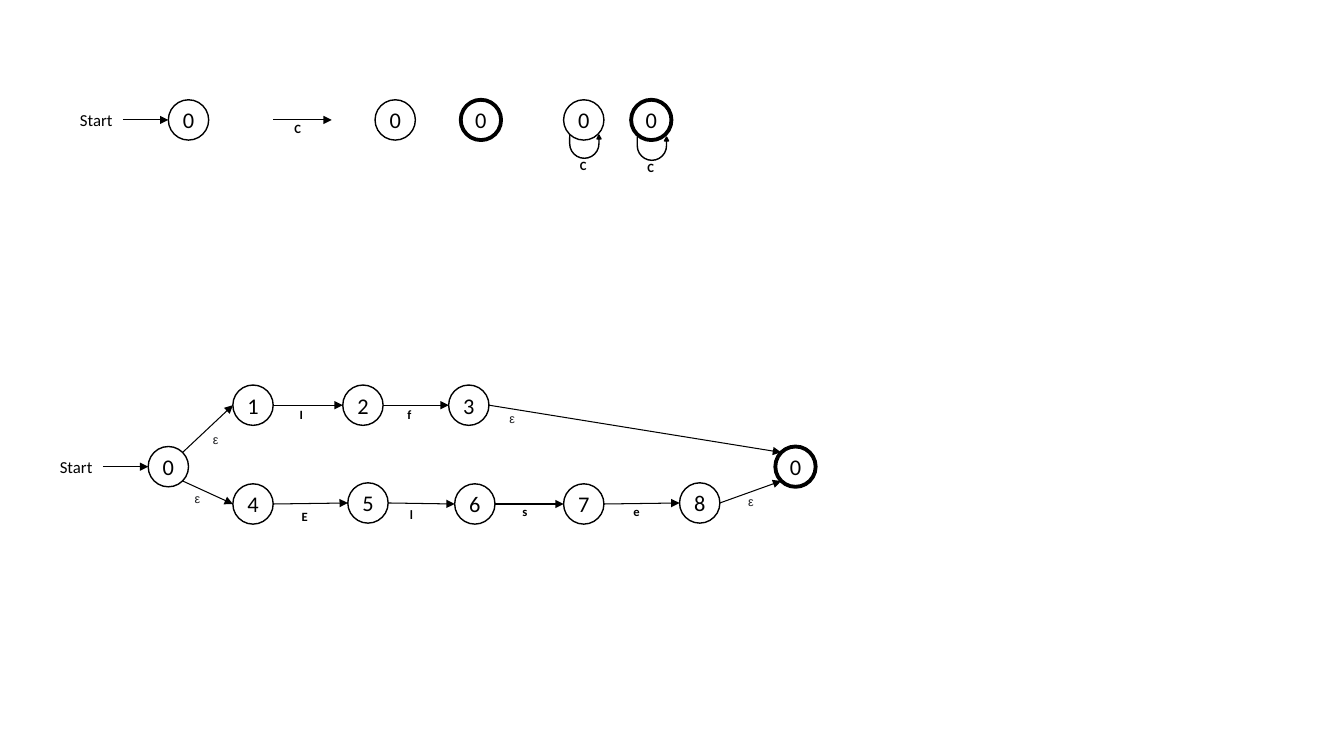
from lxml import etree
from pptx import Presentation
from pptx.dml.color import RGBColor
from pptx.enum.shapes import MSO_CONNECTOR, MSO_SHAPE
from pptx.enum.text import MSO_ANCHOR, PP_ALIGN
from pptx.oxml.ns import qn
from pptx.util import Inches, Pt

CIRCLE = MSO_SHAPE.OVAL
LOOP = MSO_SHAPE.U_TURN_ARROW
STRAIGHT = MSO_CONNECTOR.STRAIGHT
MIDDLE = MSO_ANCHOR.MIDDLE
CENTER = PP_ALIGN.CENTER
CELL = 0.1
RADIUS = 2
DIAGONAL = RADIUS * 0.71
EPSILON = "ε"
SIDES = {
    "left": (-RADIUS, 0),
    "right": (RADIUS, 0),
    "upper left": (-DIAGONAL, -DIAGONAL),
    "lower left": (-DIAGONAL, DIAGONAL),
    "upper right": (DIAGONAL, -DIAGONAL),
    "lower right": (DIAGONAL, DIAGONAL),
}


def cells(count):
    return Inches(count * CELL)


def color(value):
    return RGBColor.from_string(value)


class Diagram:
    ink = "000000"
    soft_ink = "202124"
    font = "Calibri"
    epsilon_font = "Arial"

    def __init__(self, page):
        self.page = page

    def set_text(self, frame, text, size, bold=False):
        frame.text = text
        frame.word_wrap = False
        para = frame.paragraphs[0]
        para.alignment = CENTER
        font = para.runs[0].font
        is_epsilon = text == EPSILON
        font.name = self.epsilon_font if is_epsilon else self.font
        font.color.rgb = color(self.soft_ink if is_epsilon else self.ink)
        font.size = Pt(size)
        font.bold = bold

    def text(self, middle, top, width, height, text, size, bold=False):
        box = self.page.shapes.add_textbox(
            cells(middle - width / 2), cells(top), cells(width), cells(height))
        self.set_text(box.text_frame, text, size, bold)

    def label(self, middle, top, text):
        self.text(middle, top, 1.6, 2.5, text, 9, text != EPSILON)

    def outline(self, shape, width):
        shape.shadow.inherit = False
        shape.line.color.rgb = color(self.ink)
        shape.line.width = Pt(width)

    def state(self, center, name, accepting=False):
        x, y = center
        circle = self.page.shapes.add_shape(
            CIRCLE, cells(x - RADIUS), cells(y - RADIUS),
            cells(2 * RADIUS), cells(2 * RADIUS))
        circle.fill.background()
        self.outline(circle, 2.75 if accepting else 1)
        frame = circle.text_frame
        frame.margin_left = frame.margin_right = 0
        frame.margin_top = frame.margin_bottom = 0
        frame.vertical_anchor = MIDDLE
        self.set_text(frame, name, 16)

    def arrow(self, start, end):
        arrow = self.page.shapes.add_connector(
            STRAIGHT, *(cells(value) for value in (*start, *end)))
        arrow.line.color.rgb = color(self.ink)
        arrow.line.width = Pt(0.75)
        properties = arrow._element.spPr
        etree.SubElement(properties.find(qn("a:ln")), qn("a:tailEnd"), type="triangle")
        etree.SubElement(properties, qn("a:effectLst"))

    def transition(self, source, target, leaving="right", entering="left"):
        start, end = (
            tuple(value + shift for value, shift in zip(center, SIDES[side]))
            for center, side in ((source, leaving), (target, entering)))
        self.arrow(start, end)

    def start(self, center):
        x, y = center
        self.text(x - 9.15, y - 1.5, 5.3, 3, "Start", 12)
        self.arrow((x - 6.5, y), (x - RADIUS, y))
        self.state(center, "0")

    def loop(self, center, top, text):
        x, y = center
        turn = self.page.shapes.add_shape(
            LOOP, cells(x - 1.4), cells(top), cells(3.1), cells(2.3))
        for index, value in enumerate((0, 0.085, 0.164, 0.717, 1)):
            turn.adjustments[index] = value
        turn.rotation = 180
        turn._element.spPr.find(qn("a:xfrm")).set("flipH", "1")
        turn.fill.solid()
        turn.fill.fore_color.rgb = color(self.ink)
        self.outline(turn, 1)
        self.label(x - 0.2, top + 1.75, text)


deck = Presentation()
deck.slide_width = Inches(13.33)
deck.slide_height = Inches(7.5)
diagram = Diagram(deck.slides.add_slide(deck.slide_layouts[6]))

LEGEND_ROW = 11.9
diagram.start((18.7, LEGEND_ROW))
diagram.arrow((27.1, LEGEND_ROW), (32.9, LEGEND_ROW))
diagram.label(29.4, 11.5, "C")
for column, accepting, loop_top in (
        (39.2, False, None), (47.7, True, None),
        (57.9, False, 13.4), (64.6, True, 13.6)):
    diagram.state((column, LEGEND_ROW), "0", accepting)
    if loop_top:
        diagram.loop((column, LEGEND_ROW), loop_top, "C")

START = (16.7, 46.3)
FINAL = (78.9, 46.3)
IF_STATES = {"1": (25.1, 40.2), "2": (36, 40.2), "3": (46.5, 40.2)}
ELSE_STATES = {
    "4": (25.1, 50), "5": (36.5, 49.9), "6": (47.1, 50),
    "7": (57.9, 50), "8": (69.4, 49.9),
}
diagram.start(START)
diagram.state(FINAL, "0", True)
for branch, leaving, entering in (
        (IF_STATES, "upper right", "upper left"),
        (ELSE_STATES, "lower right", "lower left")):
    for name, center in branch.items():
        diagram.state(center, name)
    centers = list(branch.values())
    diagram.transition(START, centers[0], leaving=leaving)
    for source, target in zip(centers, centers[1:]):
        diagram.transition(source, target)
    diagram.transition(centers[-1], FINAL, entering=entering)

for middle, top, symbol in (
        (21.3, 42.4, EPSILON), (29.9, 39.9, "I"), (40.6, 39.9, "f"),
        (50.7, 40.3, EPSILON), (19.5, 48.2, EPSILON), (30.1, 50, "E"),
        (40.8, 49.8, "l"), (52, 49.5, "s"), (63, 49.5, "e"),
        (74.4, 48.5, EPSILON)):
    diagram.label(middle, top, symbol)

deck.save("out.pptx")
